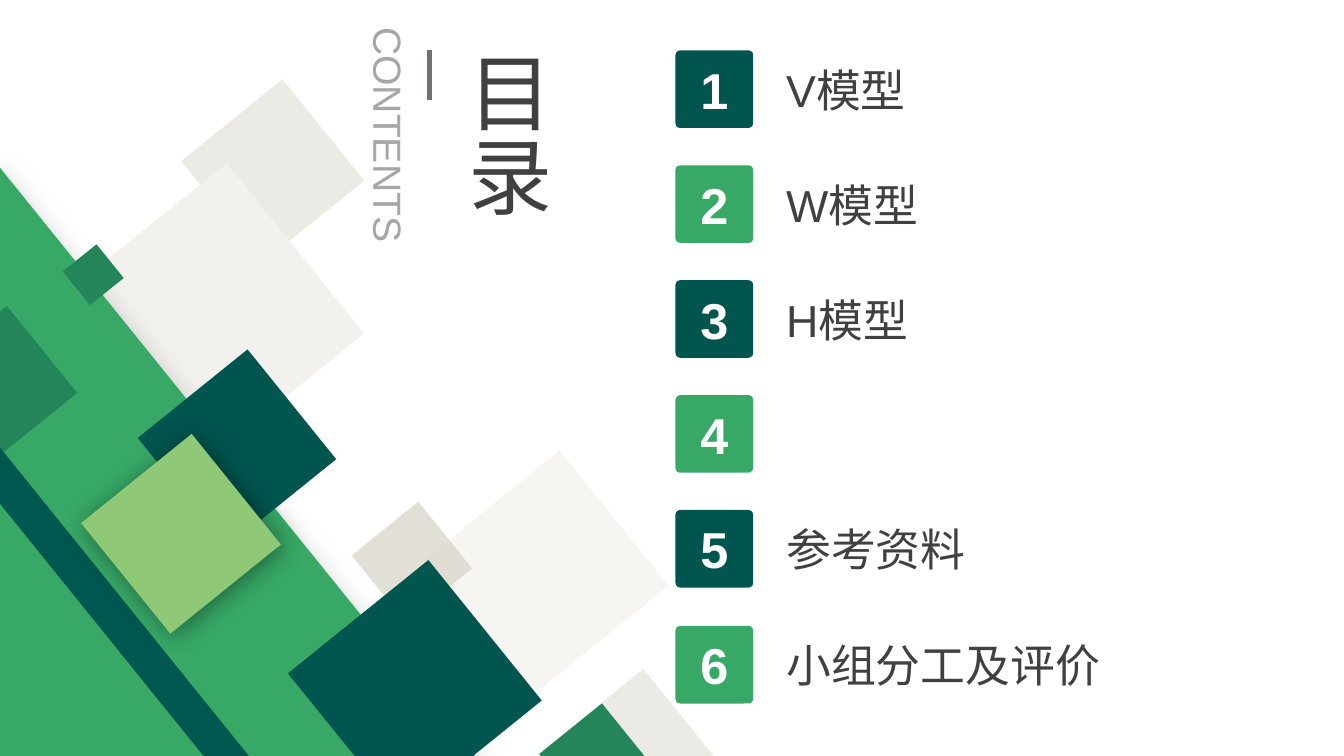
"""Build a contents slide with tilted squares and six numbered entries."""
from lxml import etree
from pptx import Presentation
from pptx.dml.color import RGBColor
from pptx.enum.shapes import MSO_CONNECTOR, MSO_SHAPE
from pptx.enum.text import MSO_ANCHOR, PP_ALIGN
from pptx.oxml.ns import qn
from pptx.util import Pt

PX = 9144
RECT, ROUND = MSO_SHAPE.RECTANGLE, MSO_SHAPE.ROUNDED_RECTANGLE
STRAIGHT = MSO_CONNECTOR.STRAIGHT
CENTER, MIDDLE, TOP = PP_ALIGN.CENTER, MSO_ANCHOR.MIDDLE, MSO_ANCHOR.TOP

WHITE = RGBColor(0xFF, 0xFF, 0xFF)
BLACK = RGBColor(0, 0, 0)
DARK = RGBColor(0x00, 0x55, 0x4E)
STRIPE = RGBColor(0x00, 0x57, 0x4F)
GREEN = RGBColor(0x37, 0xA8, 0x66)
MID_GREEN = RGBColor(0x24, 0x85, 0x5A)
LIME = RGBColor(0x8F, 0xC8, 0x77)
SAND = RGBColor(0xE7, 0xE4, 0xDD)
PALE = RGBColor(0xF2, 0xF1, 0xED)
TAUPE = RGBColor(0xD8, 0xD4, 0xC9)
INK = RGBColor(0x40, 0x40, 0x40)
GRAY = RGBColor(0xA6, 0xA6, 0xA6)
RULE = RGBColor(0x76, 0x71, 0x71)

FONT = "Arial"
TILT = 231.1
ENTRIES = ["V模型", "W模型", "H模型", "", "参考资料", "小组分工及评价"]

# left, top, width, height, colour, opacity %, shadow (blur pt, distance pt, direction)
TILES = [
    (206, 105, 129, 129, SAND, 76, None),
    (100, 206, 217, 217, PALE, 100, None),
    (564, 690, 129, 129, SAND, 76, None),
    (456, 482, 172, 172, PALE, 67, None),
    (366, 515, 85, 85, TAUPE, 73, None),
    (-392, 468, 1039, 485, GREEN, 100, (27, 16, 90)),
    (551, 714, 80, 80, MID_GREEN, 100, None),
    (165, 375, 140, 140, DARK, 100, None),
    (-57, 326, 111, 111, MID_GREEN, 100, None),
    (71, 251, 43, 43, MID_GREEN, 100, None),
    (-380, 657, 1087, 35, STRIPE, 100, None),
    (109, 459, 141, 141, LIME, 100, (18, 3, 45)),
    (322, 592, 179, 179, DARK, 100, None),
]
BADGE_X, BADGE_Y, BADGE, BADGE_SPAN = 670, 50, 77, 571
LABEL_X, LABEL_DY, LABEL_W, LABEL_H = 770, 7, 454, 64


def emu(*lengths):
    return [v * PX for v in lengths]


def set_alpha(color, percent):
    etree.SubElement(color, qn("a:alpha")).set("val", str(percent * 1000))


def add_block(s, kind, box, color, opacity=100):
    sp = s.shapes.add_shape(kind, *emu(*box))
    sp.shadow.inherit = False
    sp.fill.solid()
    sp.fill.fore_color.rgb = color
    sp.line.fill.background()
    if opacity < 100:
        set_alpha(sp.fill._xPr.find(qn("a:solidFill"))[0], opacity)
    return sp


def add_shadow(sp, blur, dist, direction):
    effects = sp._element.spPr.find(qn("a:effectLst"))
    outer = etree.SubElement(effects, qn("a:outerShdw"))
    for key, val in (("blurRad", Pt(blur)), ("dist", Pt(dist)),
                     ("dir", direction * 60000), ("algn", "ctr"), ("rotWithShape", 0)):
        outer.set(key, str(val))
    color = etree.SubElement(outer, qn("a:srgbClr"))
    color.set("val", str(BLACK))
    set_alpha(color, 40)


def write(sp, text, size, color, bold=False, align=None, anchor=TOP):
    tf = sp.text_frame
    tf.word_wrap = True
    tf.vertical_anchor = anchor
    p = tf.paragraphs[0]
    p.text = text
    p.alignment = align
    p.font.name, p.font.size, p.font.bold = FONT, Pt(size), bold
    p.font.color.rgb = color
    return tf


def add_text(s, box, text, size, color):
    sp = s.shapes.add_textbox(*emu(*box))
    write(sp, text, size, color)
    return sp


def main():
    prs = Presentation()
    prs.slide_width, prs.slide_height = emu(1333, 750)
    s = prs.slides.add_slide(prs.slide_layouts[6])

    for x, y, w, h, color, opacity, shadow in TILES:
        sp = add_block(s, RECT, (x, y, w, h), color, opacity)
        sp.rotation = TILT
        if shadow:
            add_shadow(sp, *shadow)

    add_text(s, (258, 116, 255, 57), "CONTENTS", 28, GRAY).rotation = 90
    title = add_text(s, (437, 40, 121, 195), "目录", 60, INK)
    title.text_frame._txBody.bodyPr.set("vert", "eaVert")

    rule = s.shapes.add_connector(STRAIGHT, *emu(426, 50, 426, 99))
    rule.line.color.rgb = RULE
    rule.line.width = Pt(3)
    etree.SubElement(rule._element.spPr, qn("a:effectLst"))

    for i, label in enumerate(ENTRIES):
        y = BADGE_Y + i * BADGE_SPAN // (len(ENTRIES) - 1)
        badge = add_block(s, ROUND, (BADGE_X, y, BADGE, BADGE), GREEN if i % 2 else DARK)
        badge.adjustments[0] = 0.06
        write(badge, str(i + 1), 36, WHITE, True, CENTER, MIDDLE)
        if label:
            add_text(s, (LABEL_X, y + LABEL_DY, LABEL_W, LABEL_H), label, 32, INK)

    prs.save("out.pptx")


if __name__ == "__main__":
    main()
